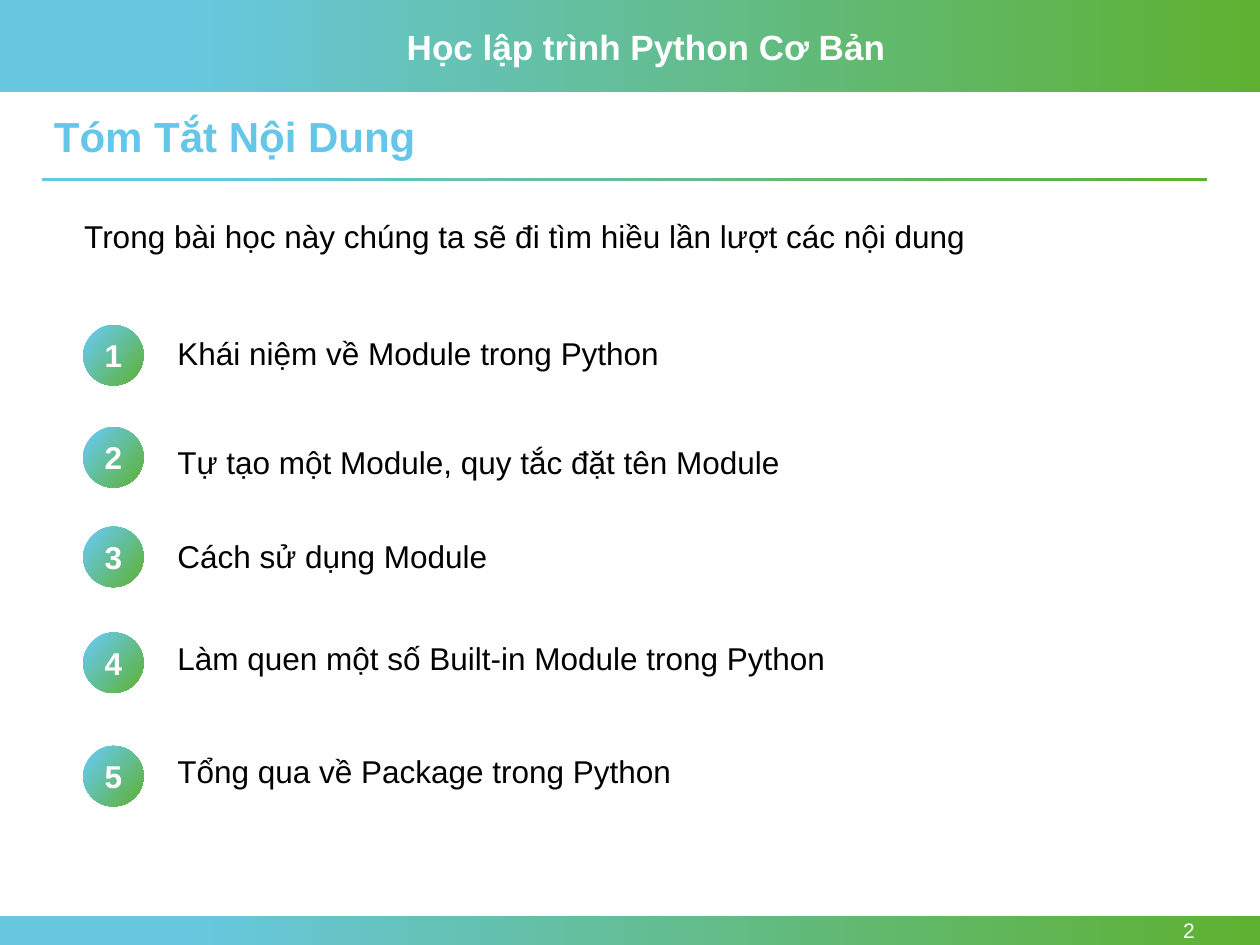
from dataclasses import dataclass

from pptx import Presentation
from pptx.dml.color import RGBColor
from pptx.enum.shapes import MSO_SHAPE
from pptx.enum.text import MSO_ANCHOR, PP_ALIGN
from pptx.util import Inches, Pt

RECTANGLE = MSO_SHAPE.RECTANGLE
OVAL = MSO_SHAPE.OVAL
TOP = MSO_ANCHOR.TOP
MIDDLE = MSO_ANCHOR.MIDDLE
LEFT = PP_ALIGN.LEFT
CENTER = PP_ALIGN.CENTER
RIGHT = PP_ALIGN.RIGHT


@dataclass(frozen=True)
class Theme:
    font: str = "Arial"
    gradient_start: RGBColor = RGBColor(0x67, 0xC7, 0xDF)
    gradient_end: RGBColor = RGBColor(0x5E, 0xB1, 0x30)
    title: RGBColor = RGBColor(0x64, 0xC7, 0xE9)
    dark: RGBColor = RGBColor(0, 0, 0)
    light: RGBColor = RGBColor(255, 255, 255)
    title_size: int = 24
    header_size: int = 20
    body_size: int = 18
    page_size: int = 12


class SlideBuilder:
    def __init__(self, slide, theme):
        self.slide = slide
        self.theme = theme

    def set_text(self, shape, text, size, color, bold=False, align=LEFT, anchor=TOP):
        text_frame = shape.text_frame
        text_frame.word_wrap = True
        text_frame.vertical_anchor = anchor
        text_frame.text = text
        paragraph = text_frame.paragraphs[0]
        paragraph.alignment = align
        font = paragraph.runs[0].font
        font.name = self.theme.font
        font.size = Pt(size)
        font.bold = bold
        font.color.rgb = color
        return paragraph

    def gradient_shape(self, kind, left, top, width, height, angle=0):
        shape = self.slide.shapes.add_shape(
            kind, Inches(left), Inches(top), Inches(width), Inches(height)
        )
        shape.shadow.inherit = False
        shape.line.fill.background()
        shape.fill.gradient()
        shape.fill.gradient_angle = angle
        first, last = shape.fill.gradient_stops
        first.position, last.position = 0.15, 1
        first.color.rgb = self.theme.gradient_start
        last.color.rgb = self.theme.gradient_end
        return shape

    def band(self, left, top, width, height):
        self.gradient_shape(RECTANGLE, left, top, width, height)

    def badge(self, number, left, top, diameter=0.48):
        circle = self.gradient_shape(OVAL, left, top, diameter, diameter, angle=320)
        self.set_text(circle, str(number), self.theme.body_size, self.theme.light,
                      bold=True, align=CENTER, anchor=MIDDLE)

    def label(self, text, left, top, width, height, size, color, **style):
        box = self.slide.shapes.add_textbox(
            Inches(left), Inches(top), Inches(width), Inches(height)
        )
        return self.set_text(box, text, size, color, **style)

    def title(self, text, left, top, width, height):
        paragraph = self.label(text, left, top, width, height,
                               self.theme.title_size, self.theme.title, bold=True)
        paragraph.line_spacing = 0.9
        paragraph.space_before = Pt(10)

    def body(self, text, left, top, width):
        self.label(text, left, top, width, 0.4, self.theme.body_size, self.theme.dark)


TOPICS = [
    ("Khái niệm về Module trong Python", 2.58, 2.6),
    ("Tự tạo một Module, quy tắc đặt tên Module", 3.39, 3.47),
    ("Cách sử dụng Module", 4.18, 4.21),
    ("Làm quen một số Built-in Module trong Python", 5.02, 5.02),
    ("Tổng qua về Package trong Python", 5.92, 5.92),
]


def main():
    presentation = Presentation()
    presentation.slide_width = Inches(10)
    presentation.slide_height = Inches(7.5)
    theme = Theme()
    slide = presentation.slides.add_slide(presentation.slide_layouts[6])
    builder = SlideBuilder(slide, theme)

    builder.band(0, 0, 10, 0.73)
    builder.band(0, 7.27, 10, 0.23)
    builder.label("Học lập trình Python Cơ Bản", 3.13, 0.15, 4.1, 0.44,
                  theme.header_size, theme.light, bold=True)
    builder.band(0.33, 1.41, 9.25, 0.03)
    builder.label("2", 8.66, 7.27, 0.92, 0.23, theme.page_size, theme.light,
                  align=RIGHT, anchor=MIDDLE)
    builder.title("Tóm Tắt Nội Dung", 0.33, 0.87, 9.25, 0.46)
    builder.body("Trong bài học này chúng ta sẽ đi tìm hiều lần lượt các nội dung",
                 0.57, 1.67, 9.01)

    for number, (topic, badge_top, text_top) in enumerate(TOPICS, start=1):
        builder.badge(number, 0.66, badge_top)
        builder.body(topic, 1.31, text_top, 7.09 if number == 1 else 5.66)

    presentation.save("out.pptx")


if __name__ == "__main__":
    main()
